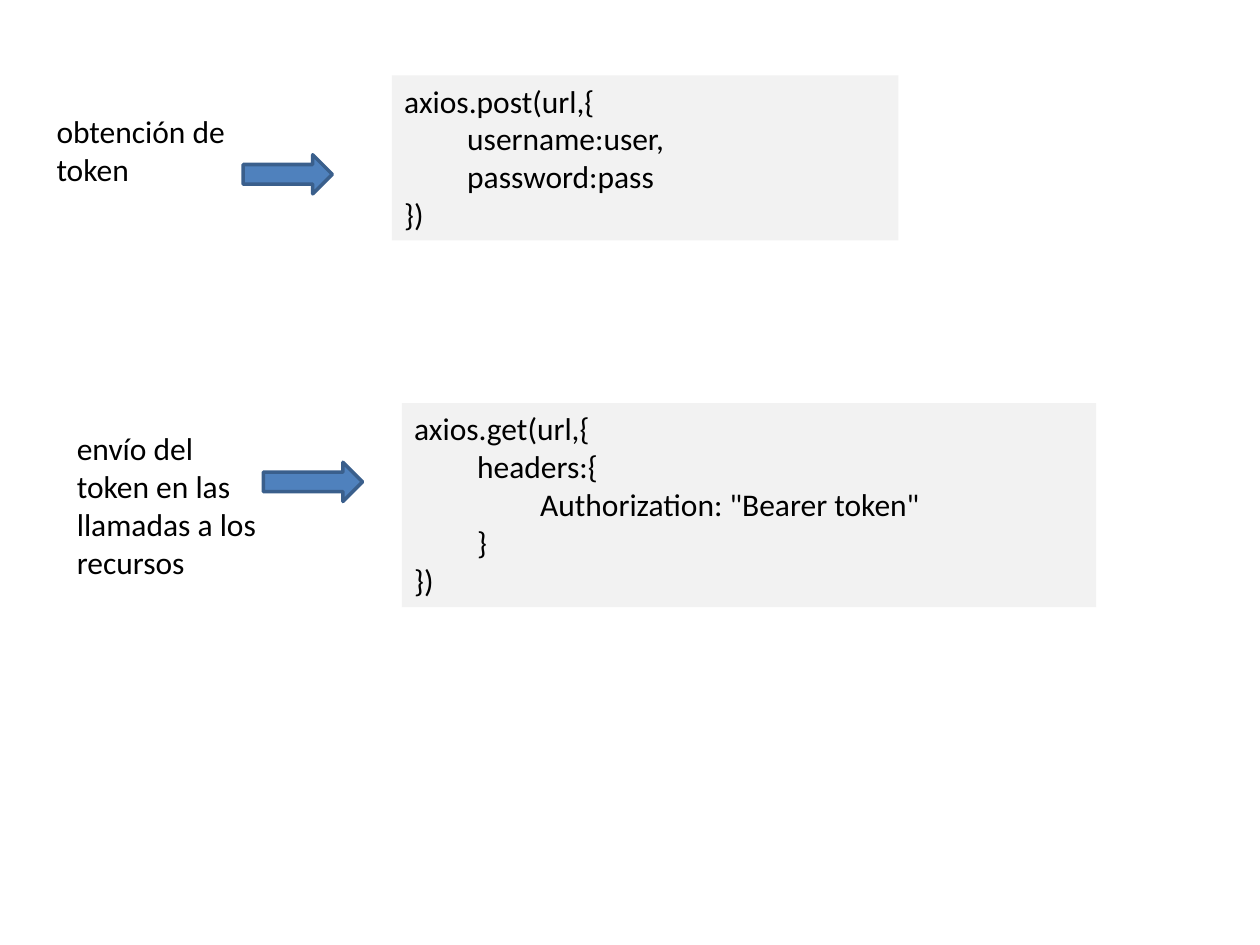
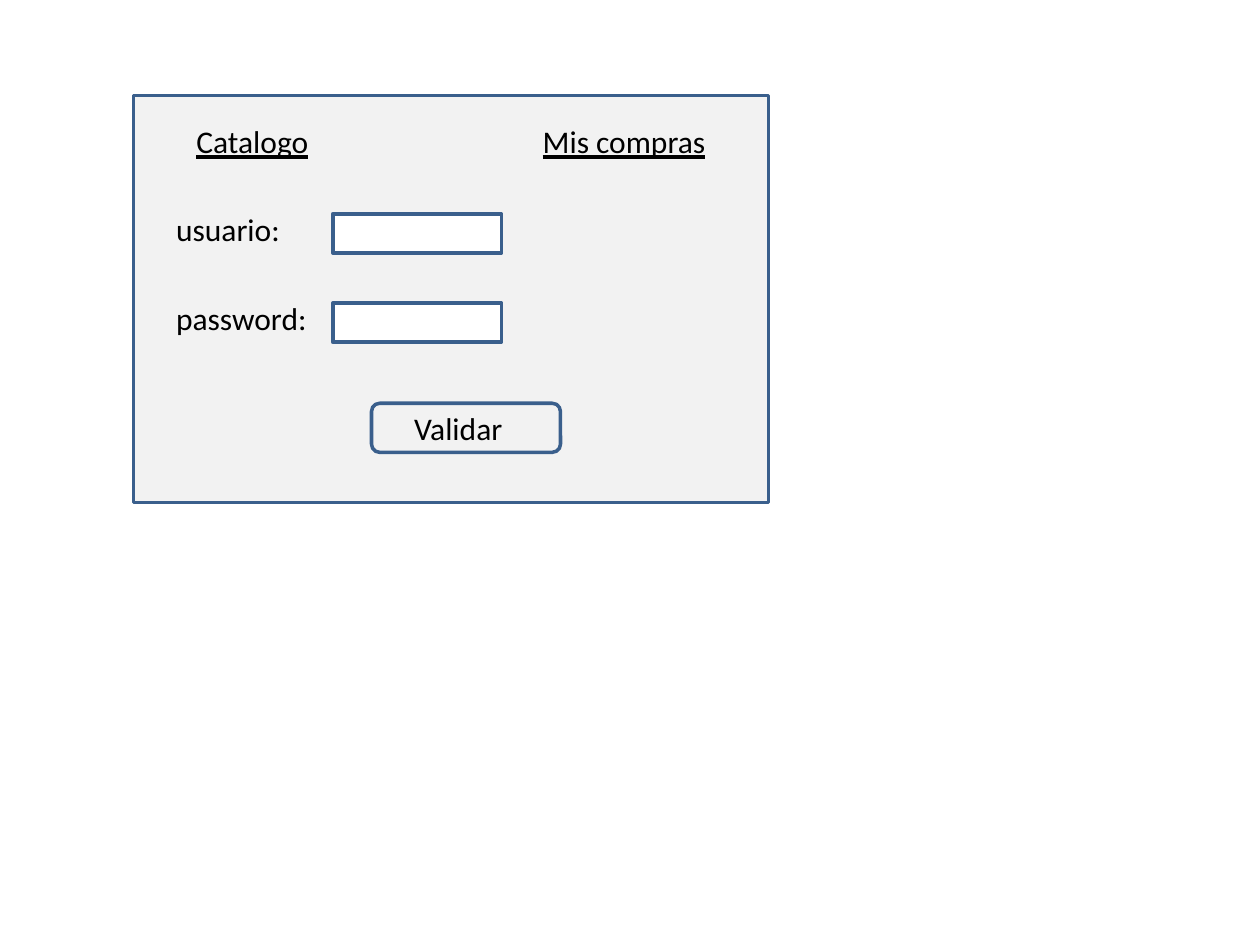
from pptx import Presentation
from pptx.dml.color import RGBColor
from pptx.enum.shapes import MSO_SHAPE
from pptx.enum.text import MSO_ANCHOR, MSO_AUTO_SIZE, PP_ALIGN
from pptx.util import Cm, Pt

RECT = MSO_SHAPE.RECTANGLE
ROUND = MSO_SHAPE.ROUNDED_RECTANGLE
ARROW = MSO_SHAPE.RIGHT_ARROW
TOP = MSO_ANCHOR.TOP
LEFT = PP_ALIGN.LEFT
GROW = MSO_AUTO_SIZE.SHAPE_TO_FIT_TEXT

BLACK = RGBColor(0x00, 0x00, 0x00)
WHITE = RGBColor(0xFF, 0xFF, 0xFF)
GREY = RGBColor(0xF2, 0xF2, 0xF2)
BLUE = RGBColor(0x4F, 0x81, 0xBD)
NAVY = RGBColor(0x3A, 0x5F, 0x8C)

TOKEN_CODE = """axios.post(url,{
\tusername:user,
\tpassword:pass
})"""
CALL_CODE = """axios.get(url,{
\theaders:{
\t\tAuthorization: "Bearer token"
\t}
})"""


def write(frame, text, size=18, font="Calibri", color=BLACK, underline=None):
    """Fill a text frame, one paragraph per line of text."""
    frame.word_wrap = True
    frame.auto_size = GROW
    frame.vertical_anchor = TOP
    frame.text = text
    for para in frame.paragraphs:
        para.alignment = LEFT
        for run in para.runs:
            run.font.size = Pt(size)
            run.font.name = font
            run.font.color.rgb = color
            run.font.underline = underline


class Deck:
    """Holds the shared style and the slide being drawn; lengths are in cm."""

    def __init__(self, width, height):
        self.file = Presentation()
        self.file.slide_width = Cm(width)
        self.file.slide_height = Cm(height)
        self.slide = None

    def add(self):
        self.slide = self.file.slides.add_slide(self.file.slide_layouts[6])

    def shape(self, kind, *box, fill=GREY, line=NAVY):
        item = self.slide.shapes.add_shape(kind, *map(Cm, box))
        item.shadow.inherit = False
        item.fill.solid()
        item.fill.fore_color.rgb = fill
        if line is None:
            item.line.fill.background()
        else:
            item.line.color.rgb = line
            item.line.width = Pt(2)
        return item

    def label(self, text, *box, **style):
        item = self.slide.shapes.add_textbox(*map(Cm, box))
        write(item.text_frame, text, **style)

    def code(self, text, *box):
        write(self.shape(RECT, *box, line=None).text_frame, text)

    def arrow(self, left, top, width):
        self.shape(ARROW, left, top, width, 0.79, fill=BLUE)

    def field(self, name, top):
        """Draw a form row: its name and an empty input box."""
        self.label(name, 3.3, top, 3.81, 1.02)
        self.shape(RECT, 6.71, top + 0.2, 3.4, 0.79, fill=WHITE)


def draw_calls(deck):
    deck.add()
    deck.code(CALL_CODE, 8.1, 8.13, 14, 4.11)
    deck.code(TOKEN_CODE, 7.9, 1.52, 10.21, 3.33)
    deck.label("obtención de token", 0.89, 2.13, 4.39, 1.8)
    deck.label("envío del token en las llamadas a los recursos",
               1.3, 8.53, 4.39, 3.33)
    deck.arrow(4.9, 3.12, 1.8)
    deck.arrow(5.31, 9.32, 2)


def draw_login(deck):
    deck.add()
    deck.shape(RECT, 2.69, 1.93, 12.8, 8.2)
    for row, name in enumerate(("usuario:", "password:")):
        deck.field(name, 4.11 + 1.8 * row)
    deck.shape(ROUND, 7.49, 8.13, 3.81, 0.99)
    deck.label("Validar", 8.1, 8.13, 3.4, 1.02)
    for name, left in (("Catalogo", 3.71), ("Mis compras", 10.69)):
        deck.label(name, left, 2.34, 3.81, 1.02, underline=True)


def main():
    deck = Deck(25.4, 19.05)
    draw_calls(deck)
    draw_login(deck)
    deck.file.save("out.pptx")


if __name__ == "__main__":
    main()
